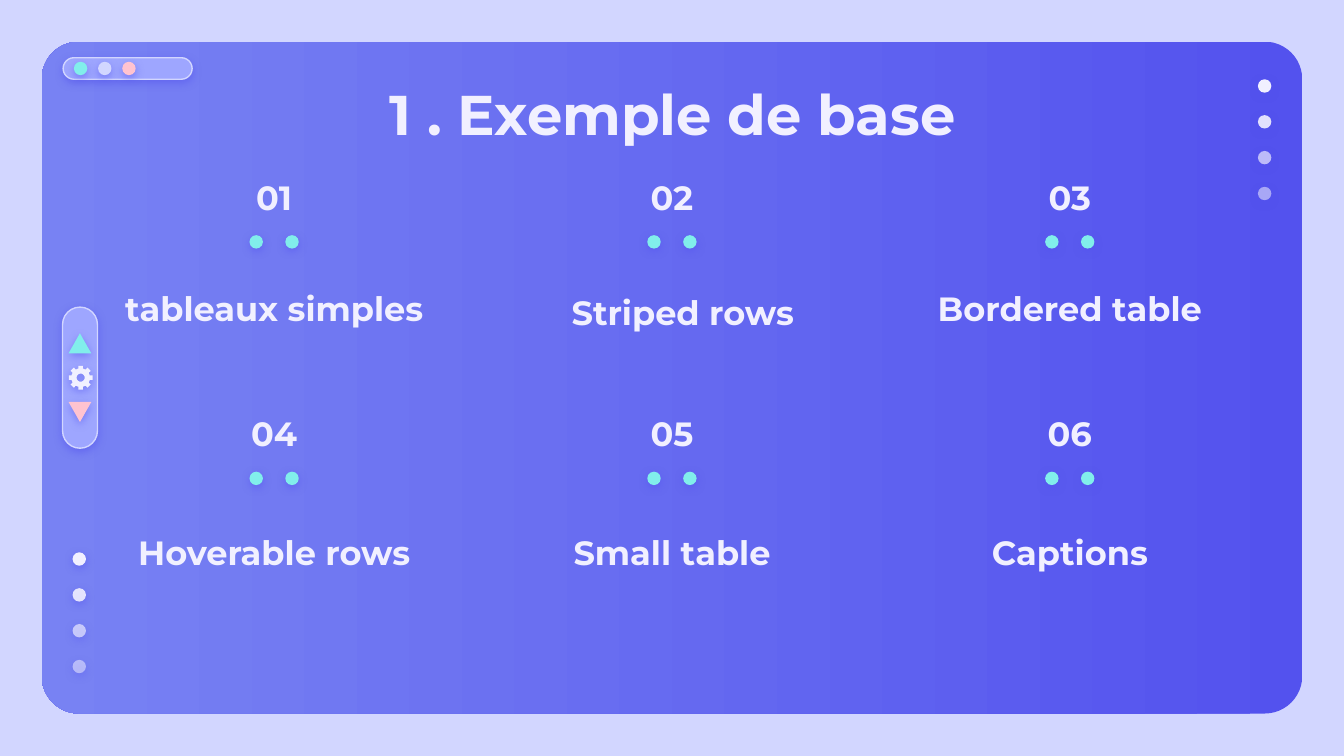
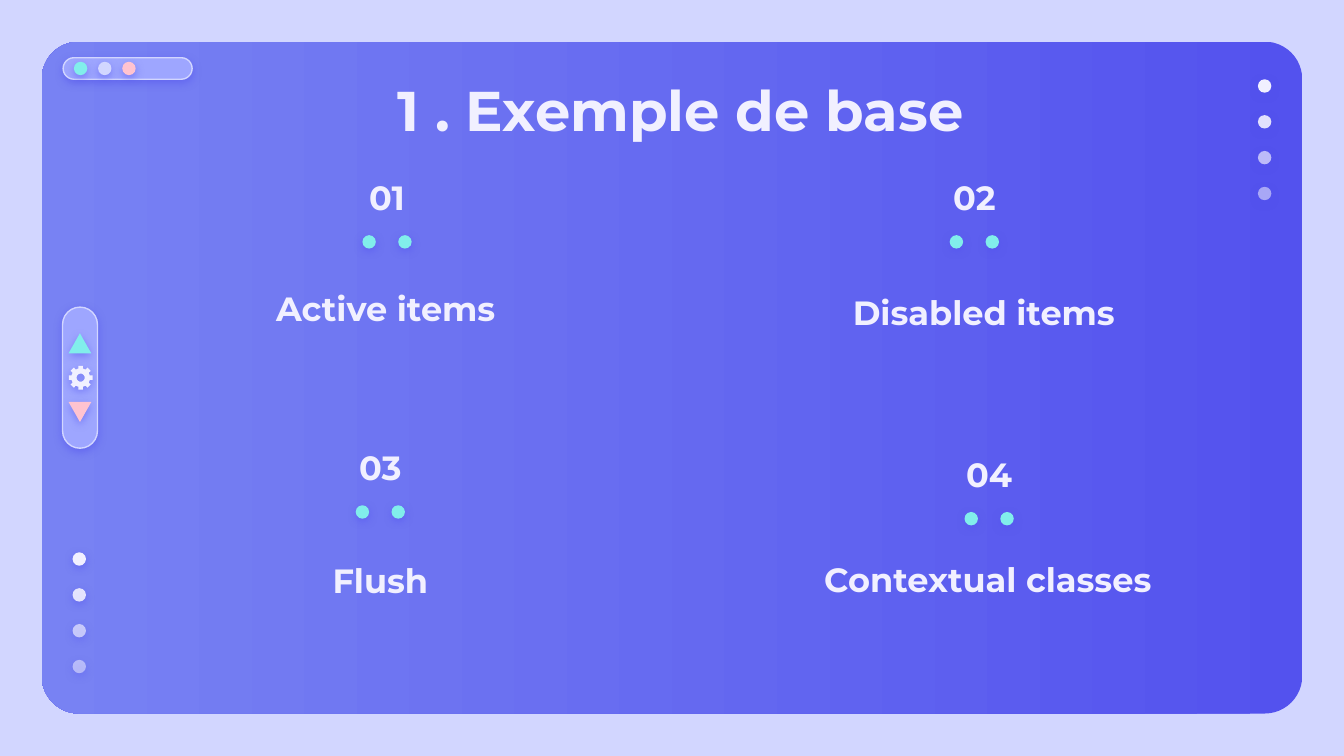
from math import cos, pi, sin

from lxml.etree import SubElement
from pptx import Presentation
from pptx.dml.color import RGBColor
from pptx.enum.shapes import MSO_SHAPE as SHAPE
from pptx.enum.text import MSO_ANCHOR as ANCHOR, PP_ALIGN as ALIGN
from pptx.oxml.ns import qn
from pptx.util import Inches, Pt

FONT = "Montserrat"
LAVENDER = "D2D6FF"
INDIGO = "5352EE"
PERIWINKLE = "7882F3"
PILL = "9EA6FF"
AQUA = "81EEEB"
PINK = "FFC3D0"
WHITE = "F1F0FF"

DOT = 0.1
DOT_STEP = 0.8 / 3
ALPHAS = (100, 90, 67, 54)


def rgb(color):
    return RGBColor.from_string(color)


def set_alpha(color_element, percent):
    SubElement(color_element, qn("a:alpha"), val=str(percent * 1000))


def add_glow(sp):
    sp.shadow.inherit = False
    effects = sp._element.spPr.find(qn("a:effectLst"))
    shadow = SubElement(effects, qn("a:outerShdw"), blurRad=str(Pt(4.5)),
                        dist=str(Pt(1.5)), dir="5400000", algn="bl",
                        rotWithShape="0")
    set_alpha(SubElement(shadow, qn("a:srgbClr"), val=INDIGO), 50)


def style(sp, fill, line=None, alpha=100):
    sp.fill.solid()
    sp.fill.fore_color.rgb = rgb(fill)
    if alpha < 100:
        set_alpha(sp._element.spPr.find(".//" + qn("a:srgbClr")), alpha)
    if line:
        sp.line.color.rgb = rgb(line)
        sp.line.width = Pt(0.75)
    else:
        sp.line.fill.background()
    add_glow(sp)


def add_preset(slide, kind, x, y, w, h, fill, line=None, alpha=100, rotation=0):
    sp = slide.shapes.add_shape(kind, Inches(x), Inches(y), Inches(w), Inches(h))
    sp.rotation = rotation
    style(sp, fill, line, alpha)
    return sp


def add_dot(slide, x, y, fill, alpha=100):
    add_preset(slide, SHAPE.OVAL, x, y, DOT, DOT, fill, alpha=alpha)


def add_pill(slide, x, y, w, h, rotation=0):
    sp = add_preset(slide, SHAPE.ROUNDED_RECTANGLE, x, y, w, h, PILL,
                    LAVENDER, rotation=rotation)
    sp.adjustments[0] = 0.5


def add_fading_dots(slide, x, y):
    for i, alpha in enumerate(ALPHAS):
        add_dot(slide, x, y + i * DOT_STEP, WHITE, alpha)


def add_gear(slide, cx, cy):
    def polar(radius, degrees):
        angle = degrees * pi / 180
        return Inches(cx + radius * cos(angle)), Inches(cy + radius * sin(angle))

    tooth = ((0.07, -14), (0.09, -11), (0.09, 11), (0.07, 14))
    rim = [polar(r, a + turn) for turn in range(0, 360, 45) for r, a in tooth]
    hole = [polar(0.03, a) for a in range(360, 0, -15)]
    builder = slide.shapes.build_freeform(*rim[0])
    builder.add_line_segments(rim[1:])
    builder.move_to(*hole[0])
    builder.add_line_segments(hole[1:])
    style(builder.convert_to_shape(), WHITE)


def add_text(slide, text, x, y, w, h, size=18, anchor=ANCHOR.MIDDLE):
    box = slide.shapes.add_textbox(Inches(x), Inches(y), Inches(w), Inches(h))
    tf = box.text_frame
    tf.word_wrap = True
    tf.vertical_anchor = anchor
    tf.margin_left = tf.margin_right = Inches(0.1)
    tf.margin_top = tf.margin_bottom = Inches(0.1)
    tf.text = text
    p = tf.paragraphs[0]
    p.alignment = ALIGN.CENTER
    font = p.runs[0].font
    font.name = FONT
    font.size = Pt(size)
    font.bold = True
    font.color.rgb = rgb(WHITE)


def add_panel(slide):
    sp = slide.shapes.add_shape(SHAPE.ROUNDED_RECTANGLE, Inches(0.31),
                                Inches(0.31), Inches(9.38), Inches(5))
    sp.adjustments[0] = 0.056
    sp.fill.gradient()
    sp.fill.gradient_angle = 180
    for stop, color in zip(sp.fill.gradient_stops, (INDIGO, PERIWINKLE)):
        stop.color.rgb = rgb(color)
    sp.line.fill.background()
    sp.shadow.inherit = False


def add_side_control(slide):
    add_pill(slide, 0.07, 2.68, 1.05, 0.26, rotation=90)
    add_preset(slide, SHAPE.ISOSCELES_TRIANGLE, 0.51, 2.48, 0.17, 0.15, AQUA)
    add_preset(slide, SHAPE.ISOSCELES_TRIANGLE, 0.51, 2.99, 0.17, 0.15, PINK,
               rotation=180)
    add_gear(slide, 0.6, 2.81)


def add_base(prs, title_x, title_y):
    slide = prs.slides.add_slide(prs.slide_layouts[6])
    slide.background.fill.solid()
    slide.background.fill.fore_color.rgb = rgb(LAVENDER)
    add_panel(slide)
    add_pill(slide, 0.47, 0.43, 0.96, 0.16)
    for i, color in enumerate((AQUA, LAVENDER, PINK)):
        add_dot(slide, 0.55 + i * 0.18, 0.46, color)
    add_fading_dots(slide, 9.36, 0.59)
    add_fading_dots(slide, 0.54, 4.11)
    add_side_control(slide)
    add_text(slide, "1 . Exemple de base", title_x, title_y, 8.43, 0.63,
             30, ANCHOR.TOP)
    return slide


def add_item(slide, number, cx, top, label, label_cx, label_top,
             label_w=2.52, label_h=0.27):
    add_text(slide, f"{number:02}", cx - 0.48, top, 0.96, 0.27)
    for side in (-0.5, 0.5):
        add_dot(slide, cx + side * DOT_STEP - DOT / 2, top + 0.42, AQUA)
    add_text(slide, label, label_cx - label_w / 2, label_top, label_w, label_h)


def add_table_topics(prs):
    slide = add_base(prs, 0.79, 0.49)
    labels = ("tableaux simples", "Striped rows", "Bordered table",
              "Hoverable rows", "Small table", "Captions")
    rows = ((1.33, 2.16), (3.09, 3.97))
    for i, label in enumerate(labels):
        row, col = divmod(i, 3)
        top, label_top = rows[row]
        cx = 5 + (col - 1) * 2.96
        shift, height = (0.08, 0.32) if label == "Striped rows" else (0, 0.27)
        add_item(slide, i + 1, cx, top, label, cx + shift, label_top,
                 label_h=height)


def add_list_topics(prs):
    slide = add_base(prs, 0.85, 0.46)
    add_item(slide, 1, 2.88, 1.33, "Active items", 2.87, 2.16)
    add_item(slide, 2, 7.25, 1.33, "Disabled items", 7.32, 2.16, label_h=0.32)
    add_item(slide, 3, 2.83, 3.34, "Flush", 2.83, 4.18)
    add_item(slide, 4, 7.36, 3.39, "Contextual classes", 7.35, 4.06, 3.03, 0.49)


def main():
    prs = Presentation()
    prs.slide_width = Inches(10)
    prs.slide_height = Inches(10) * 9 // 16
    add_table_topics(prs)
    add_list_topics(prs)
    prs.save("out.pptx")


if __name__ == "__main__":
    main()
